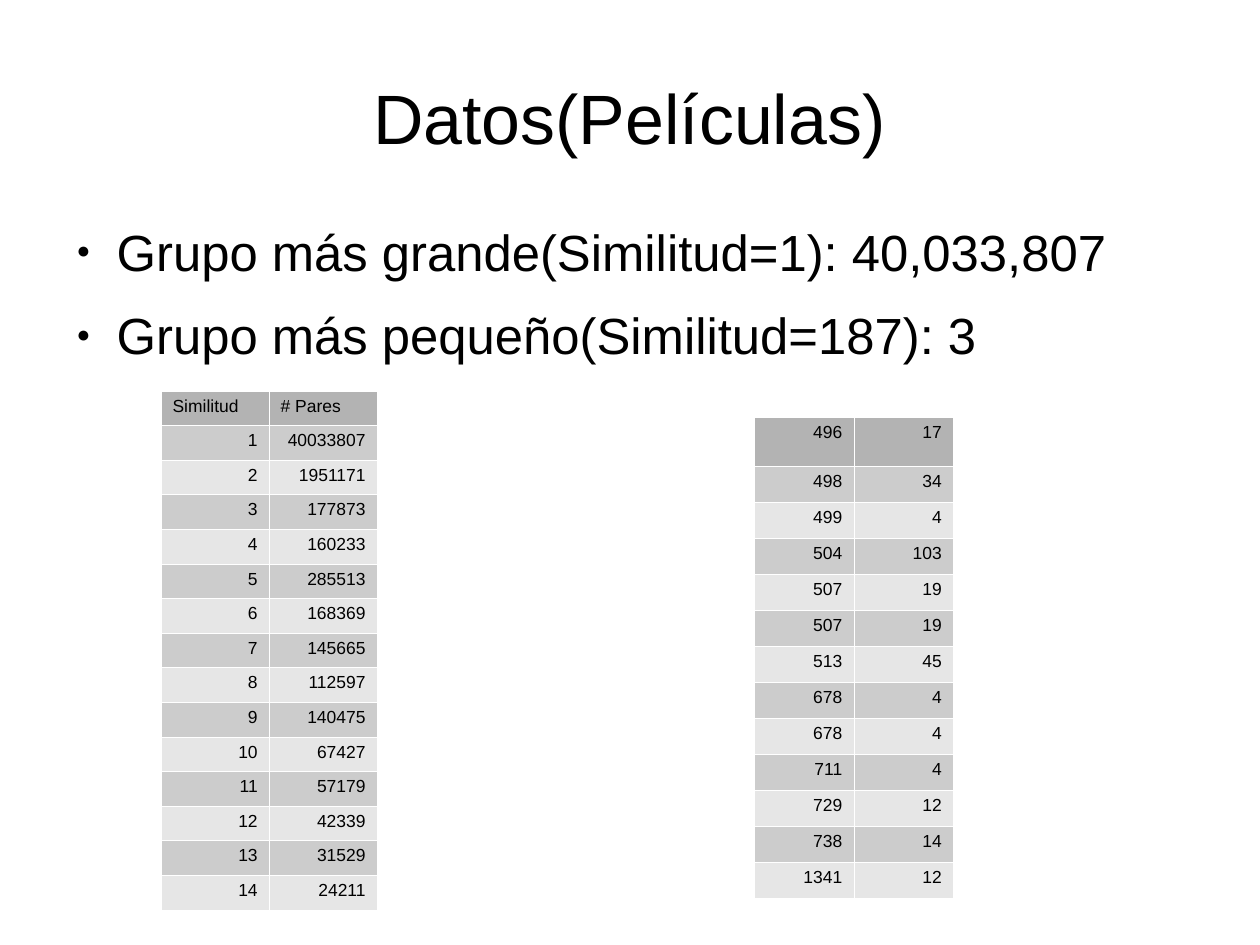
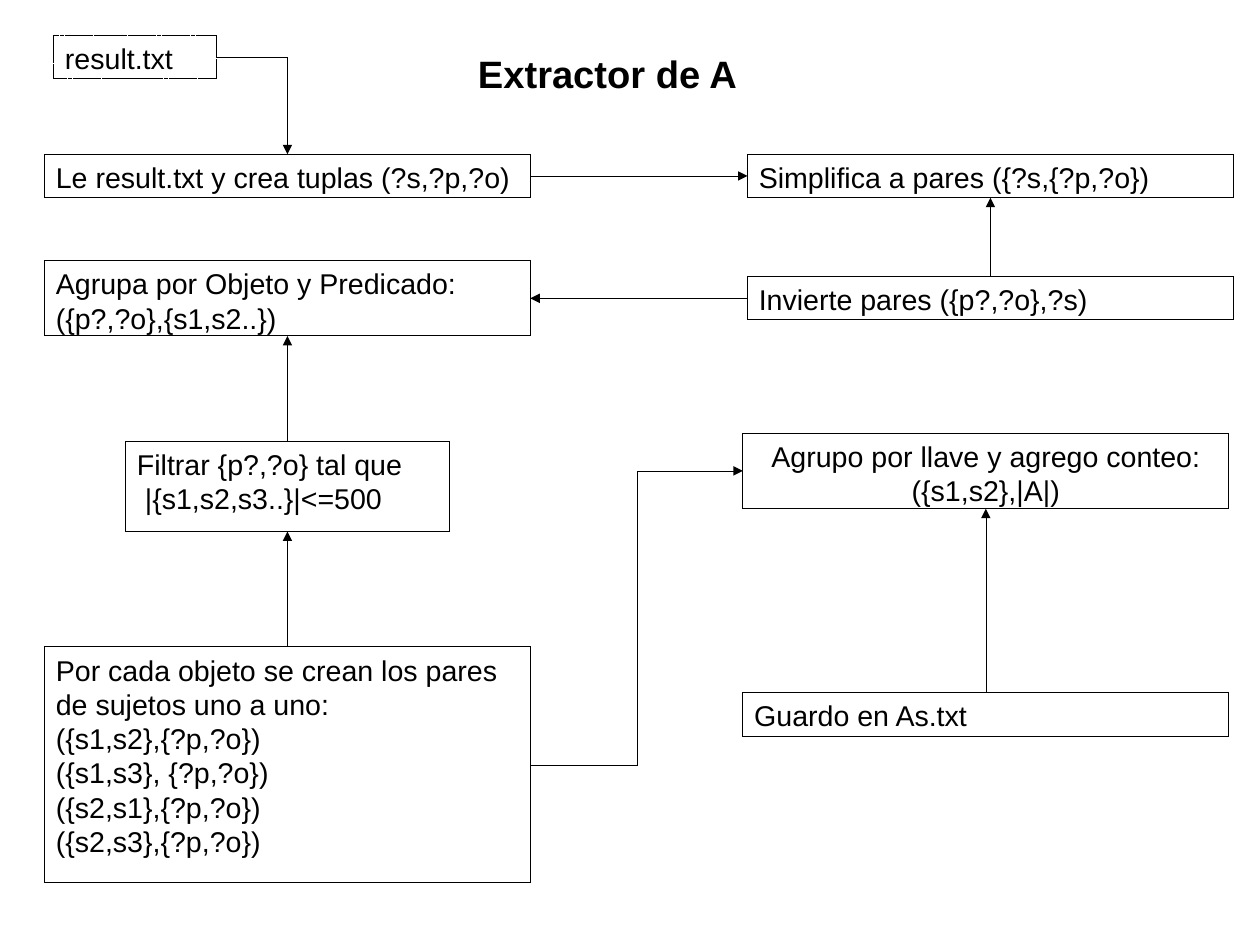
"""Build two slides: film similarity data and the flow of the A extractor."""
from lxml import etree
from pptx import Presentation
from pptx.dml.color import RGBColor
from pptx.enum.dml import MSO_LINE
from pptx.enum.shapes import MSO_CONNECTOR, MSO_SHAPE
from pptx.enum.text import MSO_ANCHOR, PP_ALIGN
from pptx.oxml.ns import qn
from pptx.util import Inches, Pt

LEFT, CENTER, RIGHT = PP_ALIGN.LEFT, PP_ALIGN.CENTER, PP_ALIGN.RIGHT
TOP, MIDDLE = MSO_ANCHOR.TOP, MSO_ANCHOR.MIDDLE
STRAIGHT, ELBOW = MSO_CONNECTOR.STRAIGHT, MSO_CONNECTOR.ELBOW
RECTANGLE = MSO_SHAPE.RECTANGLE
DASH = MSO_LINE.SQUARE_DOT
TOP_SIDE, LEFT_SIDE, BOTTOM_SIDE, RIGHT_SIDE = range(4)

FONT = "Arial"
BLACK, WHITE = "000000", "FFFFFF"
HEADER_GRAY, DARK_GRAY, LIGHT_GRAY = "B3B3B3", "CCCCCC", "E6E6E6"


def color(hex_value):
    """Turn a hex string into a colour."""
    return RGBColor.from_string(hex_value)


def write(frame, lines, size, align=LEFT, anchor=TOP, bold=False, bullet=False):
    """Fill a text frame with one paragraph per line."""
    frame.word_wrap = True
    frame.vertical_anchor = anchor
    frame.text = "\n".join(lines)
    for paragraph in frame.paragraphs:
        paragraph.alignment = align
        if bullet:
            paragraph.space_after = Pt(14.2)
            properties = paragraph._p.get_or_add_pPr()
            properties.set("marL", str(Inches(0.47)))
            properties.set("indent", str(Inches(-0.35)))
            bullet_color = etree.SubElement(properties, qn("a:buClr"))
            etree.SubElement(bullet_color, qn("a:srgbClr")).set("val", BLACK)
            etree.SubElement(properties, qn("a:buSzPct")).set("val", "45000")
            etree.SubElement(properties, qn("a:buFont")).set("typeface", FONT)
            etree.SubElement(properties, qn("a:buChar")).set("char", "●")
        paragraph.font.name = FONT
        paragraph.font.size = Pt(size)
        paragraph.font.bold = bold
        paragraph.font.color.rgb = color(BLACK)


deck = Presentation()
deck.slide_width = Inches(28 / 2.54)
deck.slide_height = Inches(21 / 2.54)
blank = deck.slide_layouts[6]

data_slide = deck.slides.add_slide(blank)
title = data_slide.shapes.add_textbox(Inches(0.55), Inches(0.33), Inches(9.92), Inches(1.38))
groups = data_slide.shapes.add_textbox(Inches(0.55), Inches(1.93), Inches(9.92), Inches(4.79))
for box in (title, groups):
    frame = box.text_frame
    frame.margin_left = frame.margin_right = frame.margin_top = frame.margin_bottom = 0
write(title.text_frame, ["Datos(Películas)"], 44, CENTER, MIDDLE)
write(groups.text_frame, [
    "Grupo más grande(Similitud=1): 40,033,807",
    "Grupo más pequeño(Similitud=187): 3",
], 32, bullet=True)

pair_counts = [40033807, 1951171, 177873, 160233, 285513, 168369, 145665,
               112597, 140475, 67427, 57179, 42339, 31529, 24211]
lowest = [("Similitud", "# Pares"), *enumerate(pair_counts, 1)]
highest = [(496, 17), (498, 34), (499, 4), (504, 103), (507, 19), (507, 19), (513, 45),
           (678, 4), (678, 4), (711, 4), (729, 12), (738, 14), (1341, 12)]

for records, left, top, width, height, first_height in (
    (lowest, 1.41, 3.42, 1.89, 4.54, 0.3),
    (highest, 6.6, 3.65, 1.74, 4.21, 0.43),
):
    row_height = (height - first_height) / (len(records) - 1)
    table = data_slide.shapes.add_table(
        len(records), 2, Inches(left), Inches(top), Inches(width), Inches(height)).table
    table.first_row = table.horz_banding = False
    for row_index, record in enumerate(records):
        table.rows[row_index].height = Inches(row_height if row_index else first_height)
        band = (DARK_GRAY if row_index % 2 else LIGHT_GRAY) if row_index else HEADER_GRAY
        for column_index, value in enumerate(record):
            cell = table.cell(row_index, column_index)
            write(cell.text_frame, [str(value)], 11, LEFT if isinstance(value, str) else RIGHT)
            cell_properties = cell._tc.get_or_add_tcPr()
            for side in ("a:lnL", "a:lnR", "a:lnT", "a:lnB"):
                border = etree.SubElement(cell_properties, qn(side), w="720")
                border_fill = etree.SubElement(border, qn("a:solidFill"))
                etree.SubElement(border_fill, qn("a:srgbClr"), val=WHITE)
            cell.fill.solid()
            cell.fill.fore_color.rgb = color(band)

flow_slide = deck.slides.add_slide(blank)
heading = flow_slide.shapes.add_textbox(Inches(3.11), Inches(0.39), Inches(4.41), Inches(0.47))
write(heading.text_frame, ["Extractor de A"], 24, CENTER, bold=True)

steps = {
    "source": (0.47, 0.31, 1.42, 0.38, LEFT, ["result.txt"]),
    "read": (0.39, 1.35, 4.25, 0.38, LEFT, ["Le result.txt y crea tuplas (?s,?p,?o)"]),
    "simplify": (6.54, 1.35, 4.25, 0.38, LEFT, ["Simplifica a pares ({?s,{?p,?o})"]),
    "invert": (6.54, 2.42, 4.25, 0.38, LEFT, ["Invierte pares ({p?,?o},?s)"]),
    "group": (0.39, 2.28, 4.25, 0.66, LEFT,
              ["Agrupa por Objeto y Predicado: ({p?,?o},{s1,s2..})"]),
    "filter": (1.1, 3.86, 2.83, 0.79, LEFT,
               ["Filtrar {p?,?o} tal que", " |{s1,s2,s3..}|<=500"]),
    "pair": (0.39, 5.66, 4.25, 2.06, LEFT,
             ["Por cada objeto se crean los pares de sujetos uno a uno:",
              "({s1,s2},{?p,?o})", "({s1,s3}, {?p,?o})",
              "({s2,s1},{?p,?o})", "({s2,s3},{?p,?o})"]),
    "count": (6.5, 3.79, 4.25, 0.66, CENTER,
              ["Agrupo por llave y agrego conteo: ({s1,s2},|A|)"]),
    "save": (6.5, 6.06, 4.25, 0.38, LEFT, ["Guardo en As.txt"]),
}
step_boxes = {}
for step, (left, top, width, height, align, lines) in steps.items():
    step_box = flow_slide.shapes.add_shape(
        RECTANGLE, Inches(left), Inches(top), Inches(width), Inches(height))
    step_box.shadow.inherit = False
    step_box.fill.background()
    step_box.line.color.rgb = color(BLACK)
    step_box._element.spPr.find(qn("a:ln")).set("w", "0")
    write(step_box.text_frame, lines, 18, align)
    step_boxes[step] = step_box
step_boxes["source"].line.dash_style = DASH

for start, start_side, end, end_side, kind in (
    ("source", RIGHT_SIDE, "read", TOP_SIDE, ELBOW),
    ("read", RIGHT_SIDE, "simplify", LEFT_SIDE, STRAIGHT),
    ("invert", TOP_SIDE, "simplify", BOTTOM_SIDE, STRAIGHT),
    ("invert", LEFT_SIDE, "group", RIGHT_SIDE, STRAIGHT),
    ("filter", TOP_SIDE, "group", BOTTOM_SIDE, STRAIGHT),
    ("pair", TOP_SIDE, "filter", BOTTOM_SIDE, STRAIGHT),
    ("pair", RIGHT_SIDE, "count", LEFT_SIDE, ELBOW),
    ("save", TOP_SIDE, "count", BOTTOM_SIDE, STRAIGHT),
):
    arrow = flow_slide.shapes.add_connector(kind, 0, 0, 0, 0)
    arrow.begin_connect(step_boxes[start], start_side)
    arrow.end_connect(step_boxes[end], end_side)
    arrow.line.color.rgb = color(BLACK)
    arrow_properties = arrow._element.spPr
    if kind == ELBOW and end_side == TOP_SIDE:
        arrow_properties.find(qn("a:prstGeom")).set("prst", "bentConnector2")
    arrow_line = arrow_properties.find(qn("a:ln"))
    arrow_line.set("w", "0")
    etree.SubElement(arrow_line, qn("a:tailEnd")).set("type", "triangle")
    etree.SubElement(arrow_properties, qn("a:effectLst"))

deck.save("out.pptx")
